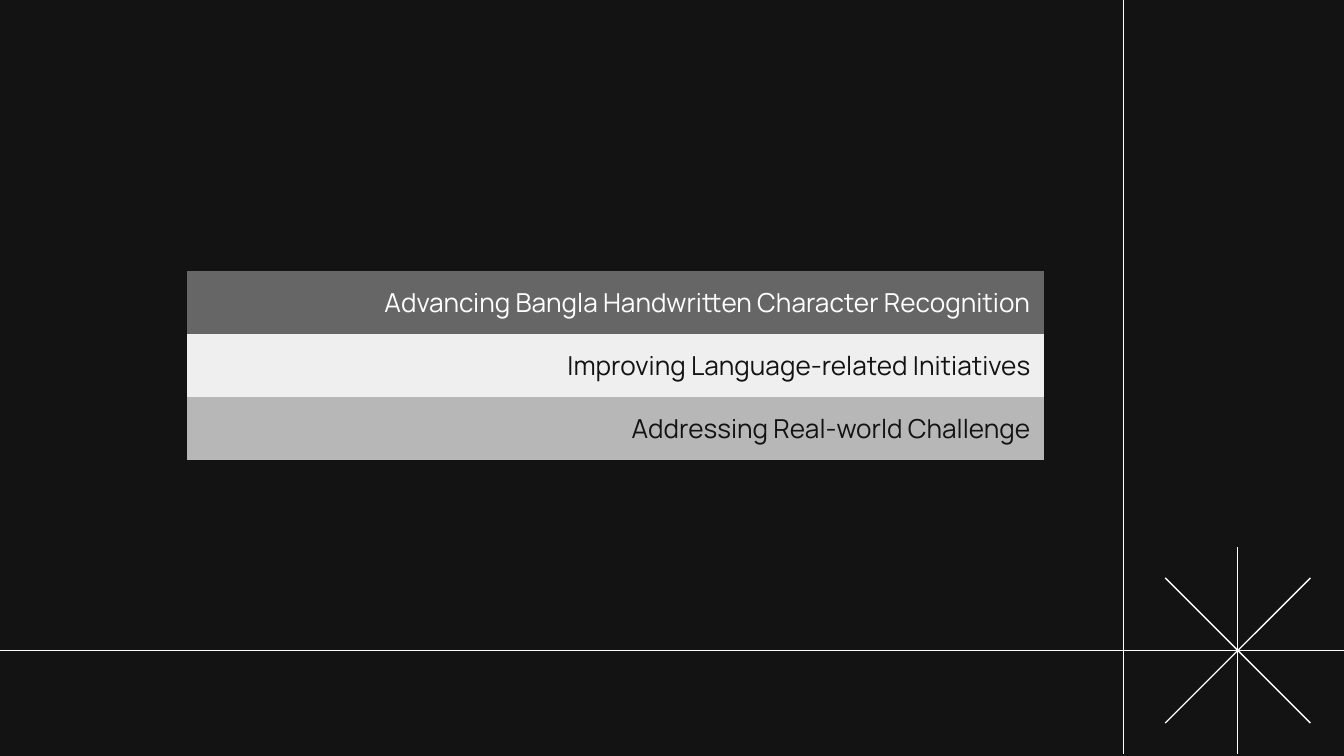
from dataclasses import dataclass

from lxml import etree
from pptx import Presentation
from pptx.dml.color import RGBColor
from pptx.enum.shapes import MSO_CONNECTOR
from pptx.enum.text import MSO_ANCHOR, PP_ALIGN
from pptx.oxml.ns import qn
from pptx.util import Inches, Pt

STRAIGHT = MSO_CONNECTOR.STRAIGHT
RIGHT = PP_ALIGN.RIGHT
TOP = MSO_ANCHOR.TOP
NO_STYLE = "{2D5ABB26-0587-4C30-8999-92F81FD0307C}"


@dataclass(frozen=True)
class Theme:
    dark: str = "131313"
    white: str = "FFFFFF"
    font: str = "Manrope"
    size: float = 14
    line: float = 0.75


THEME = Theme()

# Content: text, band fill, text colour
GOALS = [
    ("Advancing Bangla Handwritten Character Recognition", "666666", THEME.white),
    ("Improving Language-related Initiatives", "EFEFEF", THEME.dark),
    ("Addressing Real-world Challenge", "B7B7B7", THEME.dark),
]

# Layout in inches, on a 16:9 slide
W = 10
H = W * 9 / 16
TABLE_X, TABLE_Y, TABLE_W, TABLE_H = 1.39, 2.02, 6.38, 1.4
ROW_H = TABLE_H / len(GOALS)
PAD = 0.1
RULE_X = 8.36
STAR_X, STAR_Y = 9.21, 4.84
RAY, DIAGONAL = 0.77, 0.54


def rgb(value):
    return RGBColor.from_string(value)


def add_line(slide, x1, y1, x2, y2):
    ln = slide.shapes.add_connector(STRAIGHT, *map(Inches, (x1, y1, x2, y2)))
    ln.line.color.rgb = rgb(THEME.white)
    ln.line.width = Pt(THEME.line)
    etree.SubElement(ln._element.spPr, qn("a:effectLst"))


def add_goals(slide):
    frame = slide.shapes.add_table(
        len(GOALS), 1, Inches(TABLE_X), Inches(TABLE_Y),
        Inches(TABLE_W), Inches(TABLE_H))
    table = frame.table
    table.first_row = table.horz_banding = False
    table._tbl.tblPr.find(qn("a:tableStyleId")).text = NO_STYLE

    for i, (text, fill, color) in enumerate(GOALS):
        table.rows[i].height = Inches(ROW_H)
        cell = table.cell(i, 0)
        cell.fill.solid()
        cell.fill.fore_color.rgb = rgb(fill)
        cell.vertical_anchor = TOP
        cell.margin_left = cell.margin_right = Inches(PAD)
        cell.margin_top = cell.margin_bottom = Inches(PAD)
        p = cell.text_frame.paragraphs[0]
        p.text = text
        p.alignment = RIGHT
        p.font.name = THEME.font
        p.font.size = Pt(THEME.size)
        p.font.color.rgb = rgb(color)


def main():
    prs = Presentation()
    prs.slide_width, prs.slide_height = Inches(W), Inches(H)
    slide = prs.slides.add_slide(prs.slide_layouts[6])
    slide.background.fill.solid()
    slide.background.fill.fore_color.rgb = rgb(THEME.dark)

    # Star: one upright ray and two diagonals around its centre
    for dx, dy in [(0, RAY), (DIAGONAL, DIAGONAL), (DIAGONAL, -DIAGONAL)]:
        add_line(slide, STAR_X - dx, STAR_Y - dy, STAR_X + dx, STAR_Y + dy)

    # Full-length rules
    add_line(slide, 0, STAR_Y, W, STAR_Y)
    add_line(slide, RULE_X, 0, RULE_X, STAR_Y + RAY)

    add_goals(slide)
    prs.save("out.pptx")


if __name__ == "__main__":
    main()
